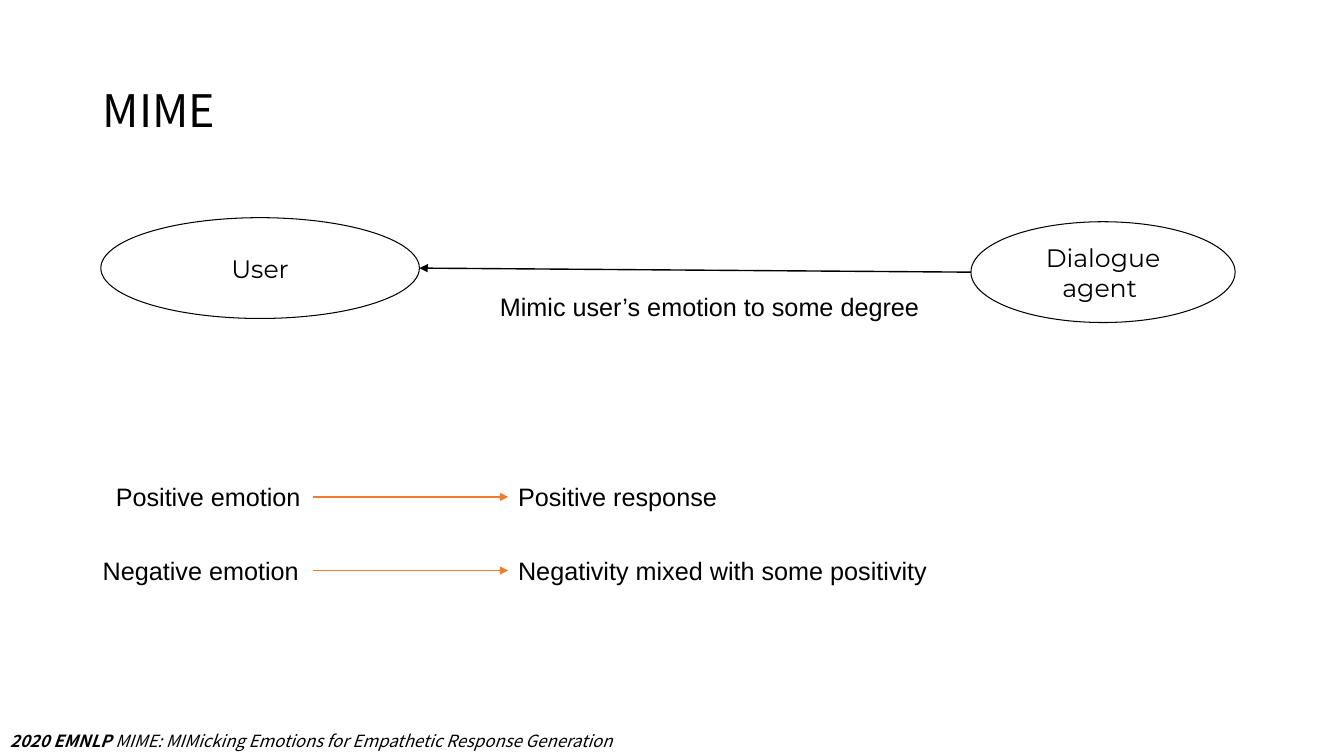
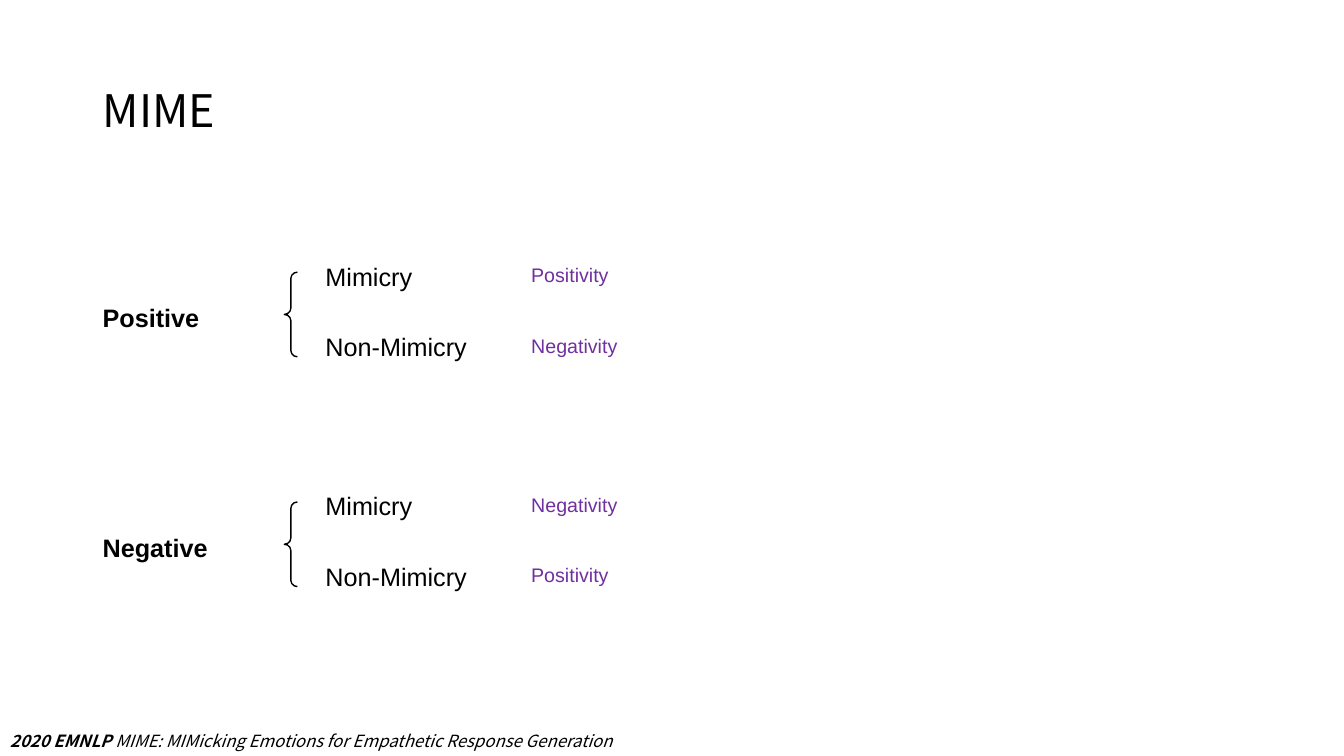
from lxml import etree
from pptx import Presentation
from pptx.dml.color import RGBColor
from pptx.enum.shapes import MSO_CONNECTOR, MSO_SHAPE
from pptx.enum.text import MSO_ANCHOR, MSO_AUTO_SIZE, PP_ALIGN
from pptx.oxml.ns import qn
from pptx.util import Inches, Pt

STRAIGHT = MSO_CONNECTOR.STRAIGHT
OVAL, LEFT_BRACE = MSO_SHAPE.OVAL, MSO_SHAPE.LEFT_BRACE
MIDDLE, NO_FIT = MSO_ANCHOR.MIDDLE, MSO_AUTO_SIZE.NONE
LEFT, CENTER = PP_ALIGN.LEFT, PP_ALIGN.CENTER
TITLE_ONLY = 5

BLACK, ORANGE, PURPLE = "000000", "ED7D31", "7030A0"
TITLE = {"name": "Noto Sans CJK SC", "size": Pt(32), "color": BLACK}
BODY = {"name": "Arial", "size": Pt(18), "color": BLACK}
STRONG = {**BODY, "bold": True}
OUTCOME = {**BODY, "size": Pt(14), "color": PURPLE}
NODE = {**BODY, "name": "Montserrat"}
SOURCE = {**TITLE, "size": Pt(12), "italic": True}


def rgb(value):
    return RGBColor.from_string(value)


def set_line(line, color, width):
    line.color.rgb = rgb(color)
    line.width = Pt(width)


class SlideBuilder:
    """Holds the deck, its shared style and the current slide."""

    def __init__(self):
        self.deck = Presentation()
        self.deck.slide_width = Inches(13.33)
        self.deck.slide_height = Inches(7.5)
        self.page = None

    def add_page(self, title):
        layout = self.deck.slide_layouts[TITLE_ONLY]
        self.page = self.deck.slides.add_slide(layout)
        box = self.page.shapes.title
        box.left, box.top = Inches(0.92), Inches(0.4)
        box.width, box.height = Inches(11.5), Inches(1.45)
        box.text_frame.auto_size = NO_FIT
        box.text_frame.vertical_anchor = MIDDLE
        para = box.text_frame.paragraphs[0]
        para.line_spacing = 0.9
        self.add_spans(para, [(title, TITLE)], LEFT)
        self.text(0, 7.2, 8.05, 0.3, [
            ("2020 EMNLP ", {**SOURCE, "bold": True}),
            ("MIME: MIMicking Emotions for Empathetic Response Generation", SOURCE),
        ])

    def add_spans(self, para, spans, alignment):
        para.alignment = alignment
        for words, style in spans:
            span = para.add_run()
            span.text = words
            for key, value in style.items():
                if key == "color":
                    span.font.color.rgb = rgb(value)
                else:
                    setattr(span.font, key, value)

    def text(self, left, top, width, height, spans):
        box = self.page.shapes.add_textbox(
            Inches(left), Inches(top), Inches(width), Inches(height))
        box.text_frame.word_wrap = True
        self.add_spans(box.text_frame.paragraphs[0], spans, LEFT)

    def label(self, left, top, width, words, style=BODY):
        self.text(left, top, width, 0.4, [(words, style)])

    def outline(self, kind, left, top, width, height, weight):
        shape = self.page.shapes.add_shape(
            kind, Inches(left), Inches(top), Inches(width), Inches(height))
        shape.shadow.inherit = False
        shape.fill.background()
        set_line(shape.line, BLACK, weight)
        return shape

    def node(self, left, top, width, words):
        frame = self.outline(OVAL, left, top, width, 1, 0.75).text_frame
        frame.word_wrap = True
        frame.vertical_anchor = MIDDLE
        self.add_spans(frame.paragraphs[0], [(words, NODE)], CENTER)

    def brace(self, left, top):
        shape = self.outline(LEFT_BRACE, left, top, 0.13, 0.84, 1)
        shape.adjustments[0] = 0.48

    def arrow(self, start, end, color):
        connector = self.page.shapes.add_connector(
            STRAIGHT, *(Inches(value) for value in (*start, *end)))
        set_line(connector.line, color, 1)
        properties = connector.element.spPr
        line = properties.find(qn("a:ln"))
        etree.SubElement(line, qn("a:tailEnd"), type="triangle")
        etree.SubElement(properties, qn("a:effectLst"))


def build_overview(builder):
    builder.add_page("MIME")
    builder.node(1, 2.16, 3.16, "User")
    builder.node(9.63, 2.2, 2.62, "Dialogue agent ")
    builder.arrow((9.63, 2.7), (4.16, 2.66), BLACK)
    builder.label(4.86, 2.84, 4.5, "Mimic user’s emotion to some degree")
    rows = [
        (1.05, 4.73, "Positive emotion", "Positive response"),
        (0.92, 5.46, "Negative emotion", "Negativity mixed with some positivity"),
    ]
    for left, top, emotion, response in rows:
        builder.label(left, top, 2.2, emotion)
        builder.arrow((3.1, top + 0.2), (5.04, top + 0.2), ORANGE)
        builder.label(5.04, top, 4.4, response)


def build_mimicry(builder):
    builder.add_page("MIME")
    groups = [
        (2.54, "Positive", ("Positivity", "Negativity")),
        (4.82, "Negative", ("Negativity", "Positivity")),
    ]
    for top, emotion, outcomes in groups:
        builder.label(0.92, top + 0.41, 1.4, emotion, STRONG)
        builder.brace(2.82, top + 0.16)
        for row, (mode, outcome) in enumerate(zip(("Mimicry", "Non-Mimicry"), outcomes)):
            row_top = top + 0.7 * row
            builder.label(3.13, row_top, 2.04, mode)
            builder.label(5.17, row_top + 0.02, 1.2, outcome, OUTCOME)


def main():
    builder = SlideBuilder()
    build_overview(builder)
    build_mimicry(builder)
    builder.deck.save("out.pptx")


if __name__ == "__main__":
    main()
